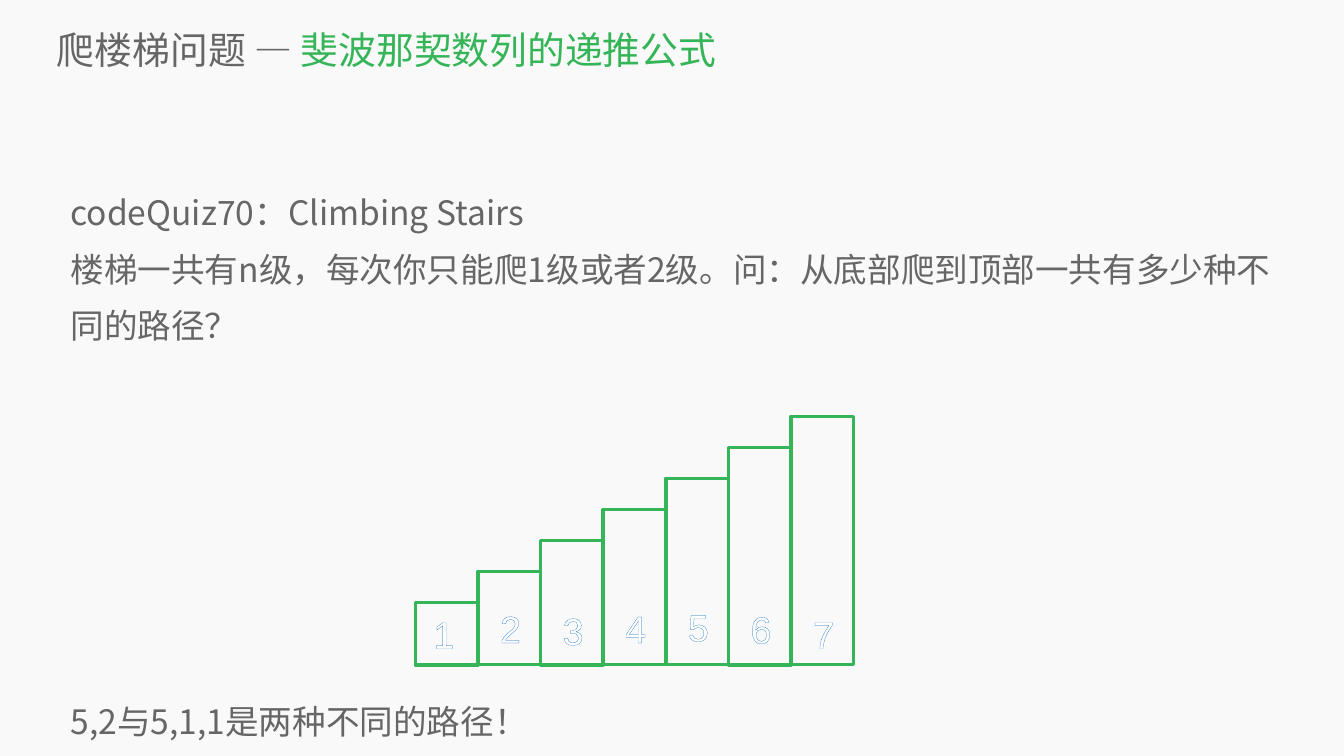
from lxml import etree
from pptx import Presentation
from pptx.dml.color import RGBColor
from pptx.enum.shapes import MSO_SHAPE
from pptx.enum.text import MSO_ANCHOR, PP_ALIGN
from pptx.oxml.ns import qn
from pptx.util import Inches, Pt

GREY, GREEN, WHITE, BLUE = "666666", "35B558", "FFFFFF", "0065C1"
CJK, LATIN = "Noto Sans CJK SC", "Arial"
LINE_PITCH = 80.8  # points


def color(hex_code):
    return RGBColor.from_string(hex_code)


def add_frame(slide, left, top, width, height, margin=0, wrap=True):
    box = slide.shapes.add_textbox(
        Inches(left), Inches(top), Inches(width), Inches(height))
    frame = box.text_frame
    frame.word_wrap = wrap
    if margin is not None:
        frame.margin_left = frame.margin_right = Inches(margin)
        frame.margin_top = frame.margin_bottom = 0
    return frame


def style_run(run, size, font, hex_code):
    run.font.size = Pt(size)
    run.font.name = font
    run.font.color.rgb = color(hex_code)
    if font == CJK:
        east_asian = etree.SubElement(run.font._element, qn("a:ea"))
        east_asian.set("typeface", font)


def outline_run(run, width, hex_code):
    line = etree.Element(qn("a:ln"), w=str(Pt(width)))
    fill = etree.SubElement(line, qn("a:solidFill"))
    etree.SubElement(fill, qn("a:srgbClr"), val=hex_code)
    run.font._element.insert(0, line)


def add_title(slide, left, top, width, height):
    frame = add_frame(slide, left, top, width, height)
    frame.vertical_anchor = MSO_ANCHOR.MIDDLE
    for words, hex_code in (("爬楼梯问题 — ", GREY),
                            ("斐波那契数列的递推公式", GREEN)):
        run = frame.paragraphs[0].add_run()
        run.text = words
        style_run(run, 54, CJK, hex_code)


def add_problem(slide, left, top, width, height):
    frame = add_frame(slide, left, top, width, height)
    frame.margin_left = Inches(0.21)
    frame.text = "\n".join((
        "codeQuiz70：Climbing Stairs",
        "楼梯一共有n级，每次你只能爬1级或者2级。问：从底部爬到顶部一共有多少种不同的路径？",
        "5,2与5,1,1是两种不同的路径！",
    ))
    for paragraph in frame.paragraphs:
        paragraph.line_spacing = Pt(LINE_PITCH)
        style_run(paragraph.runs[0], 48, CJK, GREY)
    # Room for the staircase above the closing remark
    frame.paragraphs[-1].space_before = Pt(6 * LINE_PITCH)


def add_staircase(slide, left, top, width, height):
    label_drops = (3.81, 3.7, 3.74, 3.7, 3.67, 3.71, 3.81)
    step_count = len(label_drops)
    step_width = width / step_count
    rise = height / (step_count + 1)  # the first step is two rises high

    # Steps
    for index in range(step_count):
        step_height = (index + 2) * rise
        step = slide.shapes.add_shape(
            MSO_SHAPE.RECTANGLE,
            Inches(left + index * step_width),
            Inches(top + height - step_height),
            Inches(step_width), Inches(step_height))
        step.shadow.inherit = False
        step.fill.background()
        step.line.color.rgb = color(GREEN)
        step.line.width = Pt(5)

    # Step numbers
    label_width, label_height = 0.58, 1.01
    for index, drop in enumerate(label_drops):
        inset = 0.26 if index == 0 else 0.34
        frame = add_frame(slide, left + index * step_width + inset, top + drop,
                          label_width, label_height, margin=None, wrap=False)
        frame.text = str(index + 1)
        paragraph = frame.paragraphs[0]
        paragraph.alignment = PP_ALIGN.CENTER
        style_run(paragraph.runs[0], 54, LATIN, WHITE)
        outline_run(paragraph.runs[0], 0.8, BLUE)


def main():
    deck = Presentation()
    deck.slide_width, deck.slide_height = Inches(26.67), Inches(15)
    slide = deck.slides.add_slide(deck.slide_layouts[6])
    slide.background.fill.solid()
    slide.background.fill.fore_color.rgb = color("F9F9F9")

    add_title(slide, 1.13, 0.47, 25.16, 1.02)
    add_problem(slide, 1.19, 3.49, 24.28, 11.24)
    add_staircase(slide, 8.24, 8.26, 8.7, 4.93)
    deck.save("out.pptx")


if __name__ == "__main__":
    main()
